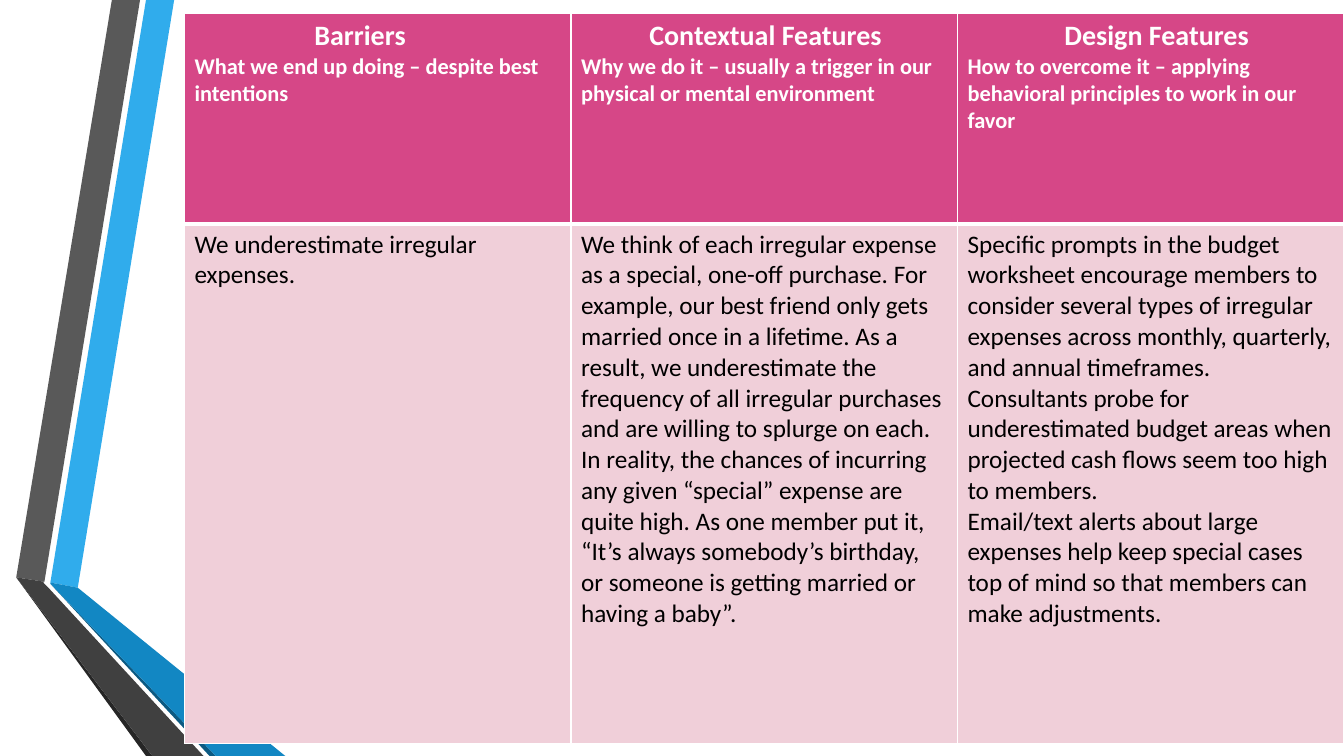
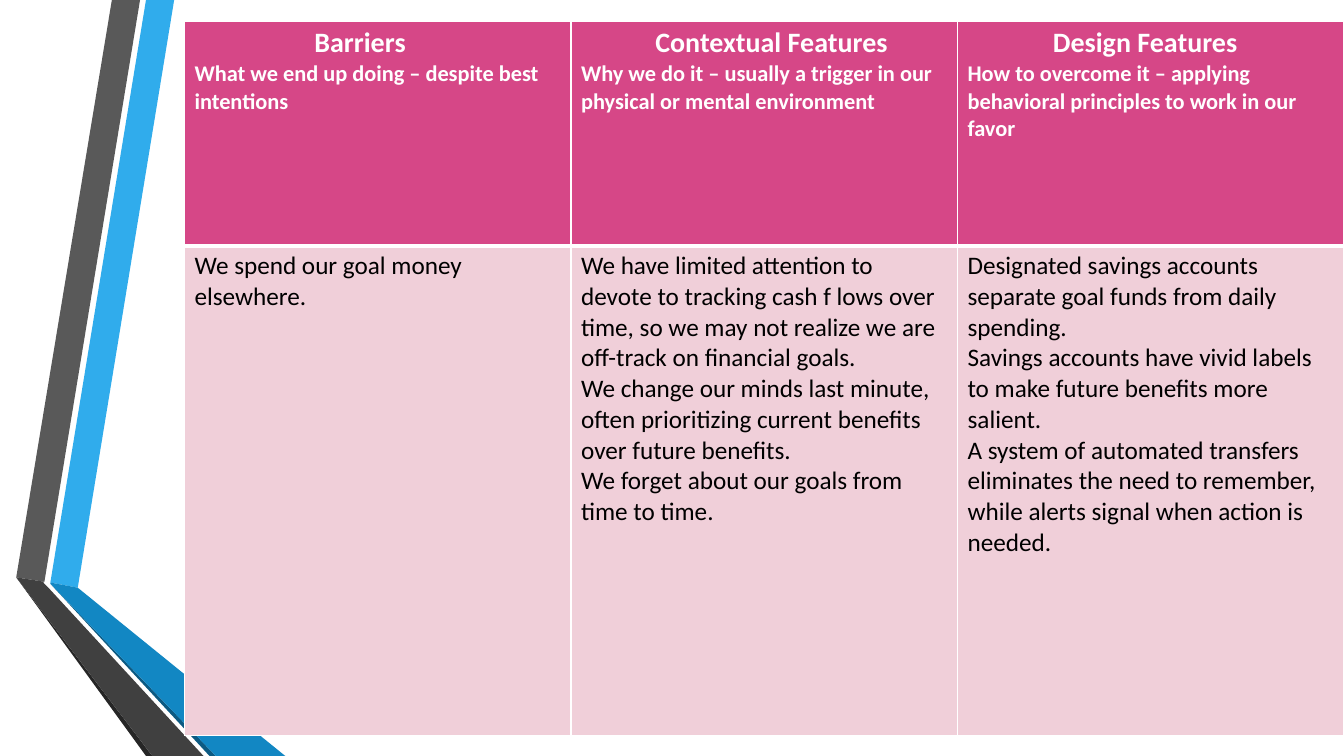
from lxml import etree
from pptx import Presentation, util as u
from pptx.dml.color import RGBColor
from pptx.oxml import ns

FONT = "Calibri"
WHITE, BLACK, PINK, PALE_PINK = "FFFFFF", "000000", "D64787", "F0CFD9"
WIDTH, HEIGHT = 33.87, 19.05
TABLE_LEFT, COLUMN_WIDTH = 4.65, 9.74

# Outlines of the folded ribbons, in centimetres, from back to front
RIBBONS = [
    ("30ACEC", [(1.27, 14.68), (1.96, 14.81), (4.39, 0), (3.68, 0)]),
    ("595959", [(3.53, 0), (2.82, 0), (0.41, 14.55), (1.12, 14.66)]),
    ("262626", [(0.41, 14.55), (3.68, HEIGHT), (3.84, HEIGHT)]),
    ("0C5A82", [(1.27, 14.71), (5.28, HEIGHT), (5.44, HEIGHT)]),
    ("1287C3", [(1.27, 14.71), (5.44, HEIGHT), (7.19, HEIGHT),
                (1.96, 14.81), (1.27, 14.68)]),
    ("404040", [(5.13, HEIGHT), (1.22, 14.81), (1.09, 14.68), (1.12, 14.66),
                (0.41, 14.55), (3.84, HEIGHT)]),
]

HEADINGS = [
    ("Barriers", "What we end up doing – despite best intentions"),
    ("Contextual Features",
     "Why we do it – usually a trigger in our physical or mental environment"),
    ("Design Features",
     "How to overcome it – applying behavioral principles to work in our favor"),
]

PAGES = [
    {
        "top": 0.34, "rows": (5.31, 13.08), "indents": (3.02, 1.72, 2.44),
        "body": [
            ["We underestimate irregular expenses."],
            ["We think of each irregular expense as a special, one-off purchase. "
             "For example, our best friend only gets married once in a lifetime. "
             "As a result, we underestimate the frequency of all irregular "
             "purchases and are willing to splurge on each. In reality, the "
             "chances of incurring any given “special” expense are quite high. "
             "As one member put it, “It’s always somebody’s birthday, or someone "
             "is getting married or having a baby”."],
            ["Specific prompts in the budget worksheet encourage members to "
             "consider several types of irregular expenses across monthly, "
             "quarterly, and annual timeframes. Consultants probe for "
             "underestimated budget areas when projected cash flows seem too "
             "high to members.",
             "Email/text alerts about large expenses help keep special cases top "
             "of mind so that members can make adjustments."],
        ],
    },
    {
        "top": 0.53, "rows": (5.66, 12.34), "indents": (3.02, 1.87, 2.15),
        "body": [
            ["We spend our goal money elsewhere."],
            ["We have limited attention to devote to tracking cash f lows over "
             "time, so we may not realize we are off-track on financial goals.",
             "We change our minds last minute, often prioritizing current "
             "benefits over future benefits.",
             "We forget about our goals from time to time."],
            ["Designated savings accounts separate goal funds from daily spending.",
             "Savings accounts have vivid labels to make future benefits more "
             "salient.",
             "A system of automated transfers eliminates the need to remember, "
             "while alerts signal when action is needed."],
        ],
    },
]


def write(para, text, size, color, bold=False, indent=0):
    span = para.add_run()
    span.text = text
    span.font.name = FONT
    span.font.size = u.Pt(size)
    span.font.bold = bold
    span.font.color.rgb = RGBColor.from_string(color)
    if indent:
        para._p.get_or_add_pPr().set("marL", str(u.Cm(indent)))


def style_cell(cell, fill, **widths):
    """Fill a cell and give it white borders, 1 pt unless widths says otherwise."""
    properties = cell._tc.get_or_add_tcPr()
    for side in "LRTB":
        line = etree.SubElement(properties, ns.qn(f"a:ln{side}"),
                                w=str(u.Pt(widths.get(side, 1))))
        solid = etree.SubElement(line, ns.qn("a:solidFill"))
        etree.SubElement(solid, ns.qn("a:srgbClr"), val=WHITE)
    cell.fill.solid()
    cell.fill.fore_color.rgb = RGBColor.from_string(fill)


deck = Presentation()
deck.slide_width, deck.slide_height = u.Cm(WIDTH), u.Cm(HEIGHT)
layout = deck.slide_layouts[6]
for placeholder in list(layout.placeholders):
    placeholder.element.getparent().remove(placeholder.element)
pages = [deck.slides.add_slide(layout) for _ in PAGES]

# Ribbons are drawn once and moved to the layout that both slides use
for color, outline in RIBBONS:
    points = [(u.Cm(x), u.Cm(y)) for x, y in outline]
    builder = pages[0].shapes.build_freeform(*points[0])
    builder.add_line_segments(points[1:], close=True)
    ribbon = builder.convert_to_shape()
    ribbon.shadow.inherit = False
    ribbon.fill.solid()
    ribbon.fill.fore_color.rgb = RGBColor.from_string(color)
    ribbon.line.fill.background()
    layout.shapes.element.append(ribbon.element)

for page, content in zip(pages, PAGES):
    frame = page.shapes.add_table(
        2, 3, u.Cm(TABLE_LEFT), u.Cm(content["top"]),
        u.Cm(3 * COLUMN_WIDTH), u.Cm(sum(content["rows"])))
    table = frame.table
    table.horz_banding = False
    for row, height in zip(table.rows, content["rows"]):
        row.height = u.Cm(height)

    columns = zip(HEADINGS, content["indents"], content["body"])
    for index, ((heading, subtitle), indent, body) in enumerate(columns):
        table.columns[index].width = u.Cm(COLUMN_WIDTH)

        header = table.cell(0, index)
        style_cell(header, PINK, B=3)
        write(header.text_frame.paragraphs[0], heading, 20, WHITE,
              bold=True, indent=indent)
        write(header.text_frame.add_paragraph(), subtitle, 16, WHITE, bold=True)

        cell = table.cell(1, index)
        style_cell(cell, PALE_PINK, T=3)
        for number, text in enumerate(body):
            box = cell.text_frame
            para = box.add_paragraph() if number else box.paragraphs[0]
            write(para, text, 18, BLACK)

deck.save("out.pptx")
